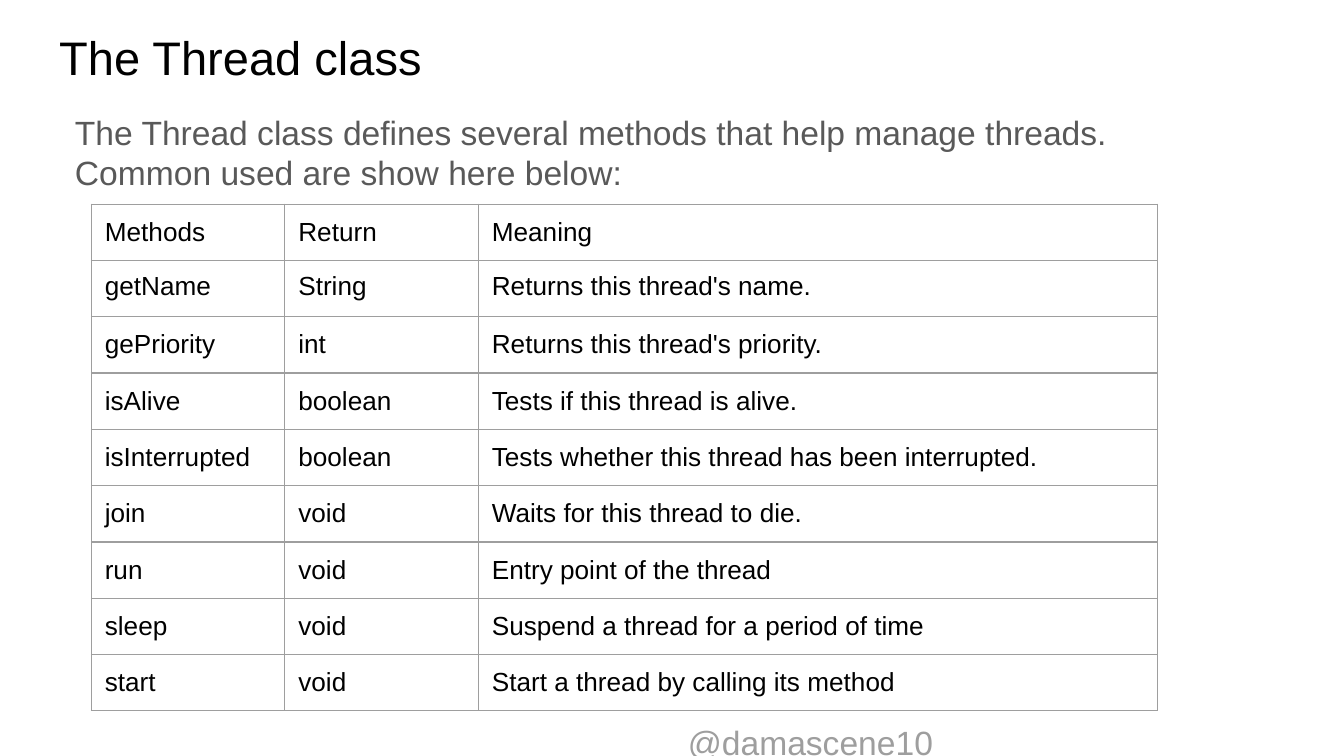
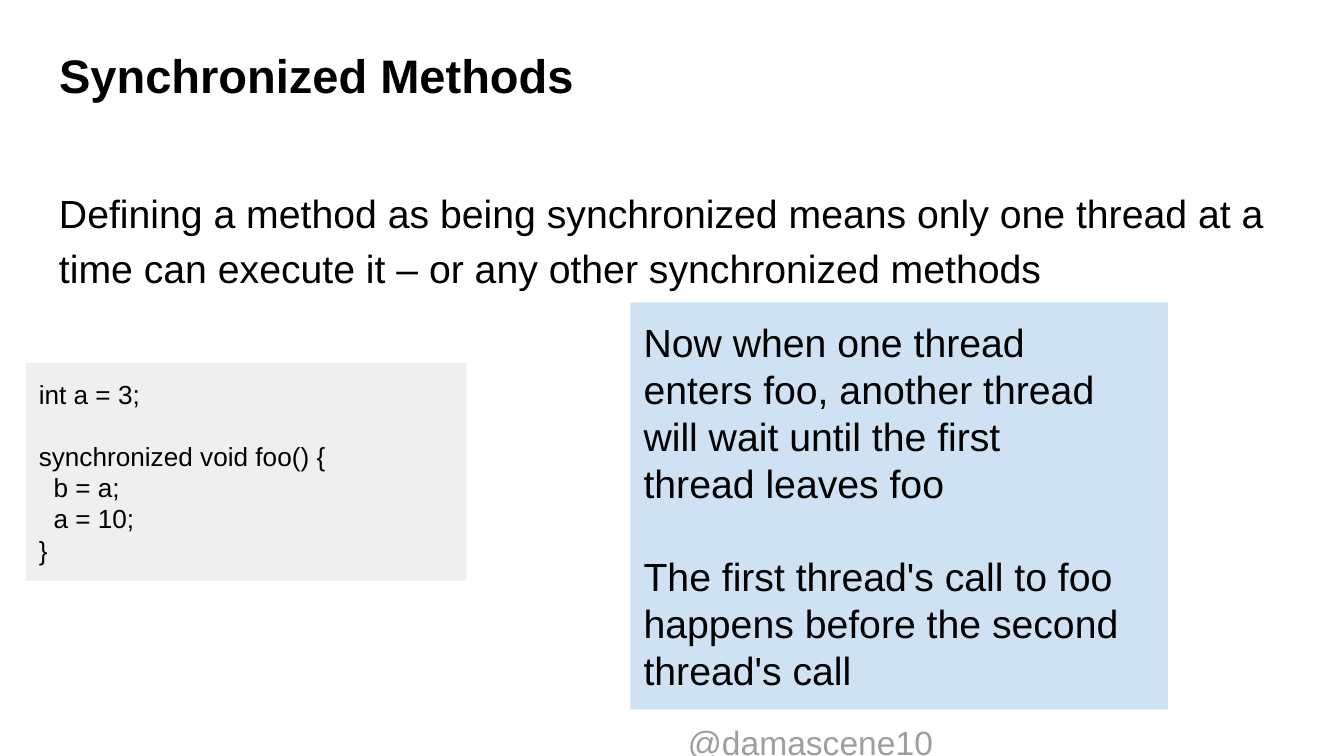
from lxml import etree
from pptx import Presentation
from pptx.dml.color import RGBColor
from pptx.enum.shapes import MSO_SHAPE
from pptx.enum.text import MSO_ANCHOR, MSO_AUTO_SIZE, PP_ALIGN
from pptx.oxml.ns import qn
from pptx.util import Inches, Pt

RECT = MSO_SHAPE.RECTANGLE
TOP, MIDDLE = MSO_ANCHOR.TOP, MSO_ANCHOR.MIDDLE
LEFT = PP_ALIGN.LEFT
FIXED = MSO_AUTO_SIZE.NONE

BLACK = RGBColor(0x00, 0x00, 0x00)
GREY = RGBColor(0x59, 0x59, 0x59)
SILVER = RGBColor(0x9E, 0x9E, 0x9E)
PALE = RGBColor(0xEF, 0xEF, 0xEF)
SKY = RGBColor(0xCF, 0xE2, 0xF3)

FONT = "Arial"
WIDE = Inches(10)
HIGH = WIDE * 9 // 16
UNIT = WIDE // 100  # side of one square grid cell
TITLE_ONLY = 5

HEAD = {"size": Pt(25.2)}
BOLD = {"size": Pt(25.2), "bold": True}
LEAD = {"size": Pt(18), "color": GREY}
FOOT = {"size": Pt(18), "color": SILVER}
BODY = {"size": Pt(21)}
CODE = {"size": Pt(14)}

# Left, top, width and height in grid cells
FOOT_AT = (50.2, 52.7, 25.7, 2.6)
LEAD_AT = (4.6, 7.3, 83.6, 7.1)
BODY_AT = (3.4, 12.6, 93.2, 37.4)
CODE_AT = (1.9, 27, 32.8, 16.2)
NOTE_AT = (46.9, 22.5, 40, 30.3)

COLS = (14.4, 14.4, 50.5)
ROW = 4.18
EVEN = (1, 1, 1, 1)
TIGHT = (1, 0.8, 1, 0.3)

METHODS = [
    ("Methods", "Return", "Meaning"),
    ("getName", "String", "Returns this thread's name."),
    ("gePriority", "int", "Returns this thread's priority."),
    ("isAlive", "boolean", "Tests if this thread is alive."),
    ("isInterrupted", "boolean", "Tests whether this thread has been interrupted."),
    ("join", "void", "Waits for this thread to die."),
    ("run", "void", "Entry point of the thread"),
    ("sleep", "void", "Suspend a thread for a period of time"),
    ("start", "void", "Start a thread by calling its method"),
]
INTRO = ("The Thread class defines several methods that help manage threads. "
         "Common used are show here below:")
RULE = ("Defining a method as being synchronized means only one thread at a "
        "time can execute it – or any other synchronized methods")
# Each line: text, and optionally paragraph format values
SOURCE = [
    ("int a = 3;", {}),
    ("synchronized void foo() {", {"space_before": Pt(16.5)}),
    ("b = a;", {"indent": 1.1}),
    ("a = 10;", {"indent": 1.1}),
    ("}", {}),
]
NOTE = [
    ("Now when one thread", {}),
    ("enters foo, another thread", {}),
    ("will wait until the first", {}),
    ("thread leaves foo", {}),
    ("The first thread's call to foo happens before the second thread's call",
     {"space_before": Pt(24.5)}),
]


def cells(num):
    """Turn a count of grid cells into a length."""
    return round(num * UNIT)


def apply(item, values):
    for name, value in values.items():
        setattr(item, name, value)


def pad(item, sides):
    names = ("margin_left", "margin_top", "margin_right", "margin_bottom")
    apply(item, dict(zip(names, map(cells, sides))))


def write(frame, lines, look):
    """Fill a text frame with (text, paragraph format) lines."""
    for num, (text, form) in enumerate(lines):
        para = frame.add_paragraph() if num else frame.paragraphs[0]
        form = {"alignment": LEFT, **form}
        indent = form.pop("indent", 0)
        if indent:
            para._p.get_or_add_pPr().set("marL", str(cells(indent)))
        apply(para, form)
        run = para.add_run()
        run.text = text
        style = {"name": FONT, **look}
        run.font.color.rgb = style.pop("color", BLACK)
        apply(run.font, style)


def set_text(shape, lines, look, anchor):
    frame = shape.text_frame
    apply(frame, {"word_wrap": True, "auto_size": FIXED,
                  "vertical_anchor": anchor})
    pad(frame, EVEN)
    write(frame, lines, look)


def add_text(slide, at, lines, look):
    shape = slide.shapes.add_textbox(*map(cells, at))
    set_text(shape, lines, look, TOP)


def add_panel(slide, at, lines, look, fill):
    shape = slide.shapes.add_shape(RECT, *map(cells, at))
    shape.shadow.inherit = False
    shape.fill.solid()
    shape.fill.fore_color.rgb = fill
    shape.line.fill.background()
    set_text(shape, lines, look, MIDDLE)


def add_slide(deck, title, top, look):
    """Start a slide with its title and the shared footer."""
    slide = deck.slides.add_slide(deck.slide_layouts[TITLE_ONLY])
    head = slide.shapes.title
    at = map(cells, (3.4, top, 93.2, 6.3))
    apply(head, dict(zip(("left", "top", "width", "height"), at)))
    set_text(head, [(title, {})], look, MIDDLE)
    add_text(slide, FOOT_AT, [("@damascene10", {})], FOOT)
    return slide


def frame_cell(cell):
    """Draw a thin line on all four sides of a table cell."""
    props = cell._tc.get_or_add_tcPr()
    for side in ("a:lnL", "a:lnR", "a:lnT", "a:lnB"):
        line = etree.SubElement(props, qn(side), w=str(Pt(0.75)))
        fill = etree.SubElement(line, qn("a:solidFill"))
        etree.SubElement(fill, qn("a:srgbClr"), val=str(SILVER))
    cell.fill.background()


def add_grid(slide, left, top, rows):
    size = (sum(COLS), ROW * len(rows))
    table = slide.shapes.add_table(
        len(rows), len(COLS), *map(cells, (left, top, *size))).table
    apply(table, {"first_row": False, "horz_banding": False})
    for col, width in zip(table.columns, COLS):
        col.width = cells(width)
    for num, texts in enumerate(rows):
        table.rows[num].height = cells(ROW)
        for cell, text in zip(table.rows[num].cells, texts):
            pad(cell, TIGHT if num == 1 else EVEN)
            write(cell.text_frame, [(text, {})], CODE)
            frame_cell(cell)


def main():
    deck = Presentation()
    apply(deck, {"slide_width": WIDE, "slide_height": HIGH})

    thread = add_slide(deck, "The Thread class", 1.1, HEAD)
    add_grid(thread, 6.8, 15.2, METHODS)
    add_text(thread, LEAD_AT, [(INTRO, {})], LEAD)

    sync = add_slide(deck, "Synchronized Methods", 2.4, BOLD)
    spacing = {"line_spacing": 1.15, "space_after": Pt(12)}
    add_text(sync, BODY_AT, [(RULE, spacing)], BODY)
    add_panel(sync, CODE_AT, SOURCE, CODE, PALE)
    add_panel(sync, NOTE_AT, NOTE, BODY, SKY)

    deck.save("out.pptx")


if __name__ == "__main__":
    main()
